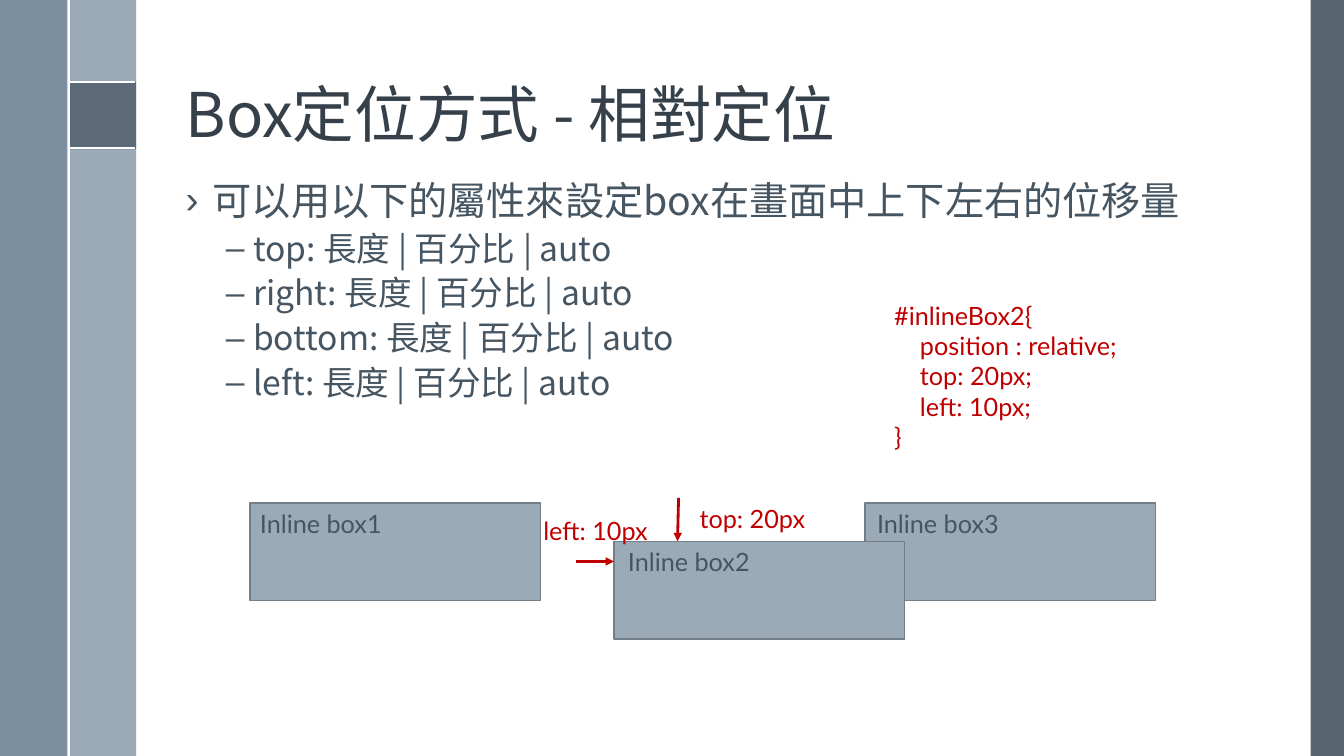
from lxml.etree import SubElement
from pptx import Presentation
from pptx.dml.color import RGBColor
from pptx.enum.shapes import MSO_CONNECTOR, MSO_SHAPE
from pptx.enum.text import MSO_ANCHOR, MSO_AUTO_SIZE, PP_ALIGN
from pptx.oxml.ns import qn
from pptx.util import Inches, Pt

WHITE = RGBColor(0xFF, 0xFF, 0xFF)
TITLE = RGBColor(0x35, 0x40, 0x4A)
TEXT = RGBColor(0x46, 0x55, 0x62)
SLATE = RGBColor(0x47, 0x55, 0x62)
STEEL = RGBColor(0x6A, 0x80, 0x93)
MIST = RGBColor(0x9B, 0xAA, 0xB7)
BORDER = RGBColor(0x73, 0x7E, 0x87)
RED = RGBColor(0xC0, 0x00, 0x00)

CJK = "Noto Sans CJK TC"
LATIN = "Lato"
BOX_W, BOX_H = 2.88, 0.97

LIST_STYLES = {
    0: {"bullet": "›", "indent": 0.27, "size": 28, "before": 0},
    1: {"bullet": "–", "indent": 0.67, "size": 24, "before": 6},
}


def set_attrs(obj, values):
    for name, value in values.items():
        setattr(obj, name, value)


def add_run(p, text, font, size, color):
    r = p.add_run()
    r.text = text
    set_attrs(r.font, {"name": font, "size": Pt(size)})
    r.font.color.rgb = color
    SubElement(r._r.get_or_add_rPr(), qn("a:ea"), typeface=font)


def add_rect(s, x, y, w, h, fill, alpha=100, border=None):
    sp = s.shapes.add_shape(MSO_SHAPE.RECTANGLE, Inches(x), Inches(y),
                            Inches(w), Inches(h))
    sp.shadow.inherit = False
    sp.fill.solid()
    sp.fill.fore_color.rgb = fill
    if alpha < 100:
        clr = sp.fill._xPr.find(qn("a:solidFill"))[0]
        SubElement(clr, qn("a:alpha"), val=str(alpha * 1000))
    if border is None:
        sp.line.fill.background()
    else:
        sp.line.color.rgb = border
        sp.line.width = Pt(1)


def add_line(s, x1, y1, x2, y2, color, width, arrow=False):
    line = s.shapes.add_connector(MSO_CONNECTOR.STRAIGHT, Inches(x1), Inches(y1),
                                  Inches(x2), Inches(y2))
    line.line.color.rgb = color
    line.line.width = Pt(width)
    if arrow:
        SubElement(line.line._get_or_add_ln(), qn("a:tailEnd"), type="triangle")
    SubElement(line._element.spPr, qn("a:effectLst"))


def add_text(s, x, y, w, h, lines, color, wrap=False):
    tf = s.shapes.add_textbox(Inches(x), Inches(y), Inches(w), Inches(h)).text_frame
    set_attrs(tf, {"word_wrap": wrap, "auto_size": MSO_AUTO_SIZE.SHAPE_TO_FIT_TEXT})
    for i, text in enumerate(lines):
        p = tf.add_paragraph() if i else tf.paragraphs[0]
        add_run(p, text, LATIN, 18, color)


def place(sp, x, y, w, h, anchor):
    set_attrs(sp, {"left": Inches(x), "top": Inches(y),
                   "width": Inches(w), "height": Inches(h)})
    set_attrs(sp.text_frame, {"word_wrap": True, "vertical_anchor": anchor,
                              "auto_size": MSO_AUTO_SIZE.NONE})
    return sp.text_frame


def fill_title(s, text):
    tf = place(s.shapes.title, 1.74, 0.19, 10.7, 1.36, MSO_ANCHOR.BOTTOM)
    p = tf.paragraphs[0]
    set_attrs(p, {"alignment": PP_ALIGN.LEFT, "line_spacing": 0.9})
    add_run(p, text, CJK, 44, TITLE)


def fill_list(s, items):
    tf = place(s.placeholders[1], 1.74, 1.75, 10.7, 5, MSO_ANCHOR.TOP)
    for i, (level, text) in enumerate(items):
        style = LIST_STYLES[level]
        p = tf.add_paragraph() if i else tf.paragraphs[0]
        set_attrs(p, {"level": level, "line_spacing": 0.9,
                      "space_before": Pt(style["before"])})
        pPr = p._p.get_or_add_pPr()
        pPr.set("marL", str(Inches(style["indent"])))
        pPr.set("indent", str(Inches(-0.27)))
        SubElement(pPr, qn("a:buChar"), char=style["bullet"])
        add_run(p, text, CJK, style["size"], TEXT)


def add_side_bands(s):
    add_rect(s, 13, 0, 0.33, 7.5, SLATE, 90)
    add_rect(s, 0.68, 0, 0.67, 7.5, MIST)
    add_rect(s, 0, 0, 0.67, 7.5, STEEL, 88)
    add_rect(s, 0.68, 0.81, 0.67, 0.67, SLATE, 75)
    for y in (0.81, 1.47):
        add_line(s, 0.68, y, 1.34, y, WHITE, 1.5)
    add_line(s, 0.68, 0, 0.68, 7.5, WHITE, 1.5)


def add_inline_box(s, x, y, label, label_x):
    add_rect(s, x, y, BOX_W, BOX_H, MIST, border=BORDER)
    add_text(s, label_x, y, 1.42, 0.4, [label], TEXT)


def main():
    prs = Presentation()
    set_attrs(prs, {"slide_width": Inches(13.33), "slide_height": Inches(7.5)})
    s = prs.slides.add_slide(prs.slide_layouts[1])

    add_side_bands(s)

    # Title and property list
    fill_title(s, "Box定位方式 - 相對定位")
    properties = ("top", "right", "bottom", "left")
    fill_list(s, [(0, "可以用以下的屬性來設定box在畫面中上下左右的位移量")]
              + [(1, f"{name}: 長度 | 百分比 | auto") for name in properties])

    # Inline boxes, the shifted one in front
    add_inline_box(s, 2.48, 4.99, "Inline box1", 2.48)
    add_inline_box(s, 8.58, 4.99, "Inline box3", 8.6)
    add_inline_box(s, 6.09, 5.37, "Inline box2", 6.13)

    # Offset arrows and their labels
    add_line(s, 6.73, 4.94, 6.72, 5.37, RED, 2, arrow=True)
    add_text(s, 6.84, 4.94, 1.31, 0.4, ["top: 20px"], RED)
    add_line(s, 5.71, 5.57, 6.09, 5.57, RED, 2, arrow=True)
    add_text(s, 5.29, 5.06, 1.3, 0.4, ["left: 10px"], RED)

    # CSS rule
    add_text(s, 8.77, 2.93, 2.82, 1.62,
             ["#inlineBox2{", "    position : relative;", "    top: 20px;",
              "    left: 10px;", "}"], RED, wrap=True)

    prs.save("out.pptx")


if __name__ == "__main__":
    main()
